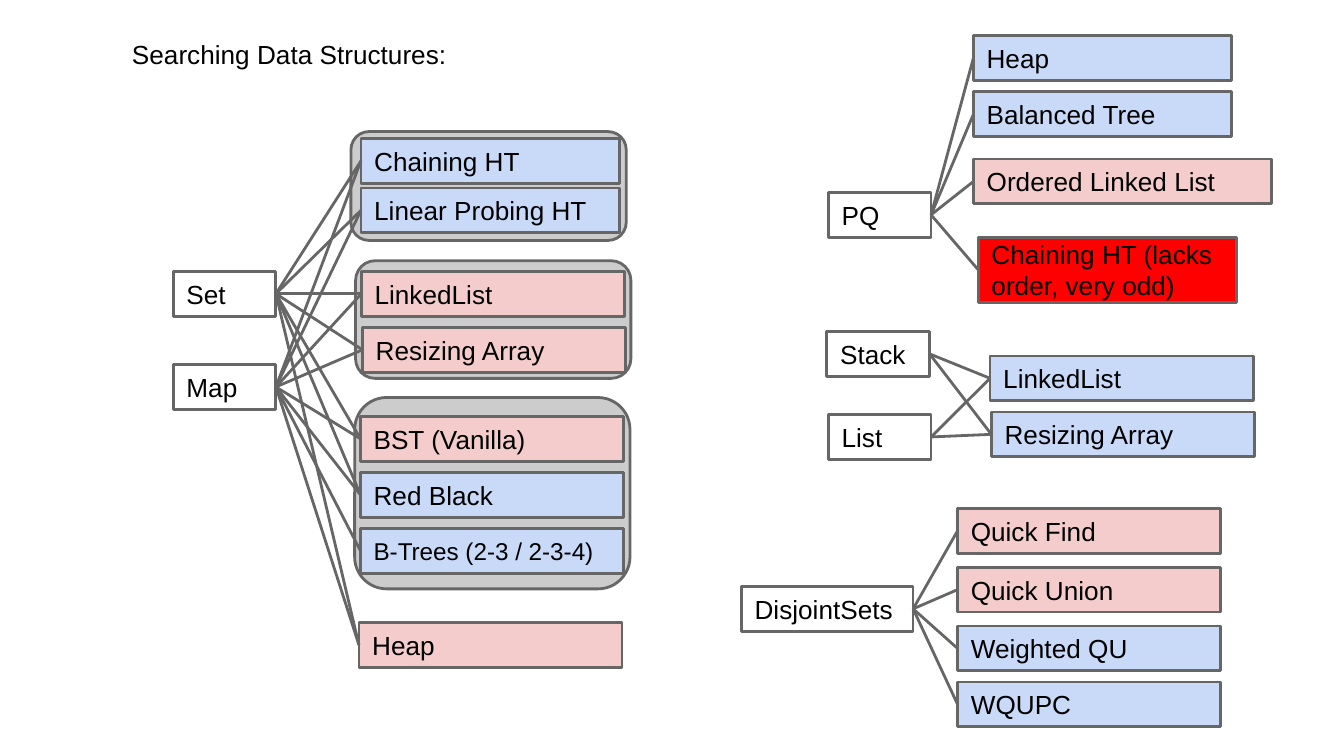
from dataclasses import dataclass

from lxml.etree import SubElement
from pptx import Presentation
from pptx.dml.color import RGBColor
from pptx.enum.shapes import MSO_CONNECTOR, MSO_SHAPE
from pptx.enum.text import MSO_ANCHOR, MSO_AUTO_SIZE, PP_ALIGN
from pptx.oxml.ns import qn
from pptx.util import Pt


@dataclass(frozen=True)
class Theme:
    font: str = "Arial"
    size: float = 14
    small: float = 13
    text: RGBColor = RGBColor(0, 0, 0)
    line: RGBColor = RGBColor(0x66, 0x66, 0x66)
    line_width: float = 1.5
    plain: RGBColor = RGBColor(0xFF, 0xFF, 0xFF)
    panel: RGBColor = RGBColor(0xCC, 0xCC, 0xCC)
    good: RGBColor = RGBColor(0xC9, 0xDA, 0xF8)
    weak: RGBColor = RGBColor(0xF4, 0xCC, 0xCC)
    odd: RGBColor = RGBColor(0xFF, 0, 0)


T = Theme()
ROW = 24
ROOT_WIDTH = 55
PADDING = 7.2


def style_text(tf, text, size, anchor):
    tf.text = text
    tf.word_wrap = True
    tf.auto_size = MSO_AUTO_SIZE.NONE
    tf.vertical_anchor = anchor
    tf.margin_left = tf.margin_right = Pt(PADDING)
    tf.margin_top = tf.margin_bottom = Pt(PADDING)
    p = tf.paragraphs[0]
    p.alignment = PP_ALIGN.LEFT
    p.font.name = T.font
    p.font.size = Pt(size)
    p.font.color.rgb = T.text


def add_block(s, box, x, y, width, height, fill, kind=MSO_SHAPE.RECTANGLE):
    left, top = box
    sp = s.shapes.add_shape(kind, Pt(left + x), Pt(top + y), Pt(width), Pt(height))
    sp.shadow.inherit = False
    sp.fill.solid()
    sp.fill.fore_color.rgb = fill
    sp.line.color.rgb = T.line
    sp.line.width = Pt(T.line_width)
    return sp


def add_node(s, box, text, x, y, width, fill=T.plain, height=ROW, size=T.size):
    sp = add_block(s, box, x, y, width, height, fill)
    style_text(sp.text_frame, text, size, MSO_ANCHOR.MIDDLE)
    return sp


def add_stack(s, box, x, y, step, width, items):
    return [
        add_node(s, box, text, x, y + i * step, width, fill)
        for i, (text, fill) in enumerate(items)
    ]


def join(s, root, leaves):
    for leaf in leaves:
        c = s.shapes.add_connector(MSO_CONNECTOR.STRAIGHT, 0, 0, 0, 0)
        c.begin_connect(root, 3)
        c.end_connect(leaf, 1)
        c.line.color.rgb = T.line
        c.line.width = Pt(T.line_width)
        SubElement(c._element.spPr, qn("a:effectLst"))


def add_title(s, box, width, height):
    sp = s.shapes.title
    sp.left, sp.top = (Pt(v) for v in box)
    sp.width, sp.height = Pt(width), Pt(height)
    style_text(sp.text_frame, "Searching Data Structures:", T.size, MSO_ANCHOR.TOP)


def add_search(s, box):
    for x, y, height in ((95, 0, 58.3), (97.5, 69.2, 63), (97, 142.5, 102.5)):
        add_block(s, box, x, y, 147.5, height, T.panel, MSO_SHAPE.ROUNDED_RECTANGLE)

    hashes = add_stack(s, box, 100.4, 3.7, 26.5, 138.5,
                       [("Chaining HT", T.good), ("Linear Probing HT", T.good)])
    lists = [
        add_node(s, box, "LinkedList", 100.6, 74.9, 141, T.weak),
        add_node(s, box, "Resizing Array", 101.2, 104.9, 141, T.weak),
    ]
    trees = add_stack(s, box, 100.1, 152.6, 30, 141,
                      [("BST (Vanilla)", T.weak), ("Red Black", T.good)])
    b_tree = add_node(s, box, "B-Trees (2-3 / 2-3-4)", 100.1, 212.6, 141,
                      T.good, size=T.small)
    heap = add_node(s, box, "Heap", 99.3, 263, 141, T.weak)

    set_root, map_root = add_stack(s, box, -0.2, 74.9, 49.9, ROOT_WIDTH,
                                   [("Set", T.plain), ("Map", T.plain)])
    shared = hashes + lists + trees + [heap]
    join(s, set_root, shared)
    join(s, map_root, shared + [b_tree])


def add_priority_queue(s, box):
    root = add_node(s, box, "PQ", 0.3, 84.1, ROOT_WIDTH)
    leaves = add_stack(s, box, 78, 0, 30.2, 138.5,
                       [("Heap", T.good), ("Balanced Tree", T.good)])
    leaves += [
        add_node(s, box, "Ordered Linked List", 78, 66.2, 159.5, T.weak),
        add_node(s, box, "Chaining HT (lacks order, very odd)", 80.6, 108.2,
                 138.5, T.odd, height=34.8),
    ]
    join(s, root, leaves)


def add_stack_and_list(s, box):
    roots = [
        add_node(s, box, "Stack", 0, 0, ROOT_WIDTH),
        add_node(s, box, "List", 0.8, 44.5, ROOT_WIDTH),
    ]
    leaves = [
        add_node(s, box, "LinkedList", 87.4, 13.1, 141, T.good),
        add_node(s, box, "Resizing Array", 88.1, 43.1, 141, T.good),
    ]
    for root in roots:
        join(s, root, leaves)


def add_disjoint_sets(s, box):
    root = add_node(s, box, "DisjointSets", 0.2, 41.8, 92)
    leaves = add_stack(s, box, 116, 0, 31.5, 141,
                       [("Quick Find", T.weak), ("Quick Union", T.weak)])
    leaves += add_stack(s, box, 116, 63, 30, 141,
                        [("Weighted QU", T.good), ("WQUPC", T.good)])
    join(s, root, leaves)


def main():
    prs = Presentation()
    prs.slide_width, prs.slide_height = Pt(720), Pt(405)
    s = prs.slides.add_slide(prs.slide_layouts[5])
    add_title(s, (63.5, 13.2), 225, 24)
    add_search(s, (93, 70.5))
    add_priority_queue(s, (443.5, 19))
    add_stack_and_list(s, (443, 177.6))
    add_disjoint_sets(s, (397, 272.4))
    prs.save("out.pptx")


if __name__ == "__main__":
    main()
